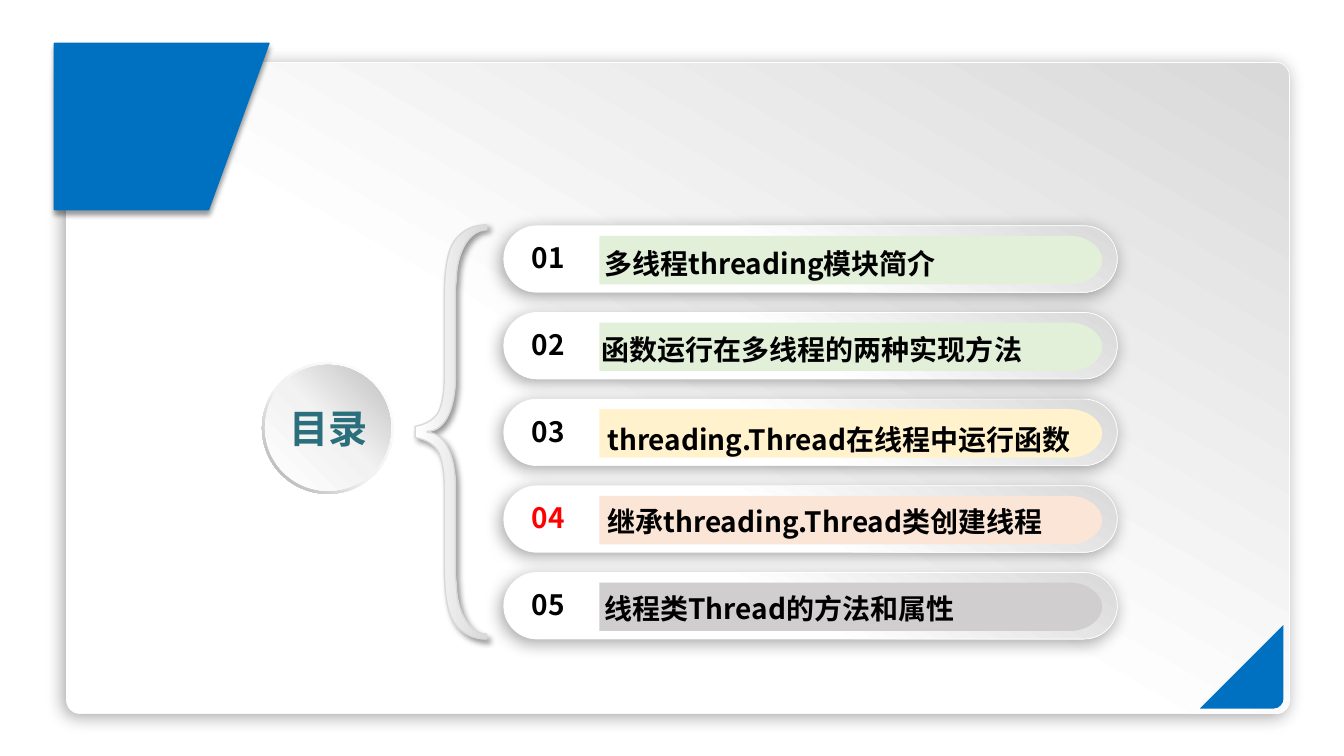
from pptx import Presentation
from pptx.dml.color import RGBColor
from pptx.enum.shapes import MSO_SHAPE as Preset
from pptx.enum.text import MSO_ANCHOR, MSO_AUTO_SIZE, PP_ALIGN
from pptx.oxml import parse_xml
from pptx.oxml.ns import nsdecls, qn
from pptx.util import Inches, Pt

FONT = "Noto Sans CJK SC"
BLACK = RGBColor(0x00, 0x00, 0x00)
WHITE = RGBColor(0xFF, 0xFF, 0xFF)
PALE = RGBColor(0xF2, 0xF2, 0xF2)
SILVER = RGBColor(0xD9, 0xD9, 0xD9)
GREY = RGBColor(0xBF, 0xBF, 0xBF)
DARK_GREY = RGBColor(0xA6, 0xA6, 0xA6)
BLUE = RGBColor(0x00, 0x70, 0xC0)
TEAL = RGBColor(0x2B, 0x6F, 0x7D)
RED = RGBColor(0xFF, 0x00, 0x00)
GREEN_TAG = RGBColor(0xE2, 0xF0, 0xD9)
YELLOW_TAG = RGBColor(0xFF, 0xF2, 0xCC)
ORANGE_TAG = RGBColor(0xFB, 0xE5, 0xD6)
GREY_TAG = RGBColor(0xD0, 0xCE, 0xCE)

# Gradients: angle, then (position, colour) stops
PLATE = (300, (45, WHITE), (100, SILVER))
BRACE = (0, (0, WHITE), (100, SILVER))
RING = (135, (0, WHITE), (55, PALE), (100, DARK_GREY))
DISC = (315, (0, WHITE), (51, PALE), (100, GREY))
# Shadows: opacity, blur, distance, direction
SOFT_SHADOW = (34, 12, 3, 135)
DOWN_SHADOW = (40, 4, 3, 90)
CORNER_SHADOW = (40, 4, 3, 45)

# Rows of the contents list, in inches
BAR_LEFT, BAR_WIDTH, BAR_HEIGHT = 5, 6.09, 0.66
FIRST_ROW, ROW_PITCH = 2.24, 0.86
TAG_LEFT, TAG_RIGHT, TAG_HEIGHT = 5.95, 10.94, 0.48
INSET = 0.1
BRACE_CENTRE = 4.285

# Topic, tag colour, number colour, then the label's left, drop below the bar top, width
TOPICS = [
    ("多线程threading模块简介", GREEN_TAG, BLACK, 5.9, 0.16, 3.92),
    (" 函数运行在多线程的两种实现方法", GREEN_TAG, BLACK, 5.81, 0.15, 5.04),
    ("threading.Thread在线程中运行函数", YELLOW_TAG, BLACK, 5.93, 0.18, 5.4),
    ("继承threading.Thread类创建线程", ORANGE_TAG, RED, 5.93, 0.14, 5.09),
    ("线程类Thread的方法和属性", GREY_TAG, BLACK, 5.9, 0.14, 4.11),
]


def paint(shape, fill, line=None, line_width=1, shadow=None):
    """Format a shape; fill is a colour or a gradient tuple."""
    if isinstance(fill, RGBColor):
        shape.fill.solid()
        shape.fill.fore_color.rgb = fill
    else:
        angle, *stops = fill
        stop_xml = "".join(
            f'<a:gs pos="{position * 1000}"><a:srgbClr val="{colour}"/></a:gs>'
            for position, colour in stops)
        shape.fill.background()
        properties = shape.element.spPr
        properties.replace(properties.find(qn("a:noFill")), parse_xml(
            f'<a:gradFill {nsdecls("a")} rotWithShape="1"><a:gsLst>{stop_xml}'
            f'</a:gsLst><a:lin ang="{angle * 60000}" scaled="0"/></a:gradFill>'))
    if line is None:
        shape.line.fill.background()
    else:
        shape.line.color.rgb = line
        shape.line.width = Pt(line_width)
    shape.shadow.inherit = False
    if shadow:
        opacity, blur, distance, direction = shadow
        shape.element.spPr.find(qn("a:effectLst")).append(parse_xml(
            f'<a:outerShdw {nsdecls("a")} blurRad="{Pt(blur)}" dist="{Pt(distance)}" '
            f'dir="{direction * 60000}" algn="ctr" rotWithShape="0"><a:srgbClr '
            f'val="{BLACK}"><a:alpha val="{opacity * 1000}"/></a:srgbClr></a:outerShdw>'))


def add_preset(slide, preset, box, fill, adjustment=None, **style):
    shape = slide.shapes.add_shape(preset, *map(Inches, box))
    if adjustment is not None:
        shape.adjustments[0] = adjustment
    paint(shape, fill, **style)


def add_outline(slide, start, segments, fill, **style):
    """Draw a closed outline; a segment is a line's end or a Bezier's three points."""
    builder = slide.shapes.build_freeform(*map(Inches, start))
    builder.add_line_segments(
        [(Inches(x), Inches(y)) for segment in segments for x, y in segment], close=True)
    shape = builder.convert_to_shape()
    lines = iter(list(shape.element.spPr.iter(qn("a:lnTo"))))
    for segment in segments:
        first, *others = [next(lines) for _ in segment]
        if others:
            curve = parse_xml(f'<a:cubicBezTo {nsdecls("a")}/>')
            first.addprevious(curve)
            for line in (first, *others):
                curve.append(line[0])
                line.getparent().remove(line)
    paint(shape, fill, **style)


def style_paragraph(paragraph, size, colour):
    font = paragraph.font
    font.name, font.size, font.bold = FONT, Pt(size), True
    font.color.rgb = colour
    defaults = paragraph._p.pPr.find(qn("a:defRPr"))
    defaults.find(qn("a:latin")).addnext(
        parse_xml(f'<a:ea {nsdecls("a")} typeface="{FONT}"/>'))


def add_label(slide, text, left, top, width, colour):
    box = slide.shapes.add_textbox(*map(Inches, (left, top, width, 0.44)))
    frame = box.text_frame
    frame.word_wrap = False
    frame.auto_size = MSO_AUTO_SIZE.SHAPE_TO_FIT_TEXT
    frame.text = text
    style_paragraph(frame.paragraphs[0], 20, colour)


def add_backdrop(slide):
    panel = [[(12.68, 0.62)], [(12.74, 0.62), (12.8, 0.68), (12.8, 0.76)],
             [(12.8, 6.94)], [(12.8, 7.02), (12.74, 7.08), (12.68, 7.08)],
             [(0.79, 7.08)], [(0.72, 7.08), (0.66, 7.02), (0.66, 6.94)],
             [(0.66, 0.76)], [(0.66, 0.68), (0.72, 0.62), (0.79, 0.62)]]
    add_outline(slide, (0.79, 0.62), panel, PLATE,
                line=WHITE, line_width=0.5, shadow=SOFT_SHADOW)
    corner = [[(12.74, 6.93)], [(12.74, 6.98), (12.7, 7.03), (12.64, 7.03)],
              [(11.91, 7.03)]]
    add_outline(slide, (12.74, 6.2), corner, BLUE)
    banner = [[(0.54, 0.43)], [(0.54, 2.08)], [(2.07, 2.08)]]
    add_outline(slide, (2.67, 0.43), banner, BLUE, line=BLUE, shadow=DOWN_SHADOW)


def add_topic(slide, index, topic, tag_colour, number_colour, label_left, drop, width):
    top = FIRST_ROW + index * ROW_PITCH
    add_preset(slide, Preset.ROUNDED_RECTANGLE, (BAR_LEFT, top, BAR_WIDTH, BAR_HEIGHT),
               PLATE, 0.5, line=WHITE, line_width=0.5, shadow=SOFT_SHADOW)
    upper, lower = top + INSET, top + INSET + TAG_HEIGHT
    middle, curve_start, control = (upper + lower) / 2, TAG_RIGHT - 0.32, TAG_RIGHT - 0.15
    tag = [[(curve_start, upper)],
           [(control, upper), (TAG_RIGHT, middle - 0.13), (TAG_RIGHT, middle)],
           [(TAG_RIGHT, middle + 0.13), (control, lower), (curve_start, lower)],
           [(TAG_LEFT, lower)]]
    add_outline(slide, (TAG_LEFT, upper), tag, tag_colour)
    add_label(slide, f"{index + 1:02}", 5.18, upper, 0.75, number_colour)
    add_label(slide, topic, label_left, top + drop, width, BLACK)


def add_brace(slide):
    """Draw the upper half, then mirror it about the centre line."""
    start = (4.12, 4.23)
    upper = [[(4.23, 4.21), (4.31, 4.16), (4.35, 4.09)],
             [(4.39, 4.01), (4.41, 3.89), (4.41, 3.72)], [(4.41, 2.94)],
             [(4.41, 2.68), (4.44, 2.49), (4.51, 2.39)],
             [(4.58, 2.29), (4.69, 2.23), (4.83, 2.23)], [(4.83, 2.28)],
             [(4.67, 2.28), (4.54, 2.48), (4.53, 2.75)], [(4.52, 2.87)],
             [(4.52, 3.76)], [(4.52, 4), (4.44, 4.28), (4.24, 4.28)]]
    ends = [start] + [segment[-1] for segment in upper]
    backwards = [[*reversed(segment[:-1]), end] for segment, end in zip(upper, ends)][::-1]
    lower = [[(x, 2 * BRACE_CENTRE - y) for x, y in segment]
             for segment in [[ends[-1]], *backwards]]
    add_outline(slide, start, upper + lower, BRACE, line=SILVER, shadow=CORNER_SHADOW)


def add_title_disc(slide):
    add_preset(slide, Preset.DONUT, (2.6, 3.59, 1.31, 1.31), RING, 0.05)
    add_preset(slide, Preset.OVAL, (2.63, 3.62, 1.25, 1.25), DISC)
    title = slide.shapes.title
    title.left, title.top, title.width, title.height = map(Inches, (2.57, 4.01, 1.38, 0.47))
    frame = title.text_frame
    frame.margin_left = frame.margin_right = frame.margin_top = frame.margin_bottom = 0
    frame.vertical_anchor = MSO_ANCHOR.MIDDLE
    frame.auto_size = MSO_AUTO_SIZE.NONE
    frame.text = "目录"
    frame.paragraphs[0].alignment = PP_ALIGN.CENTER
    style_paragraph(frame.paragraphs[0], 28, TEAL)
    title.element.getparent().append(title.element)  # bring to front


def main():
    presentation = Presentation()
    presentation.slide_width, presentation.slide_height = Inches(13.34), Inches(7.5)
    slide = presentation.slides.add_slide(presentation.slide_layouts[5])
    add_backdrop(slide)
    for index, topic in enumerate(TOPICS):
        add_topic(slide, index, *topic)
    add_title_disc(slide)
    add_brace(slide)
    presentation.save("out.pptx")


if __name__ == "__main__":
    main()
